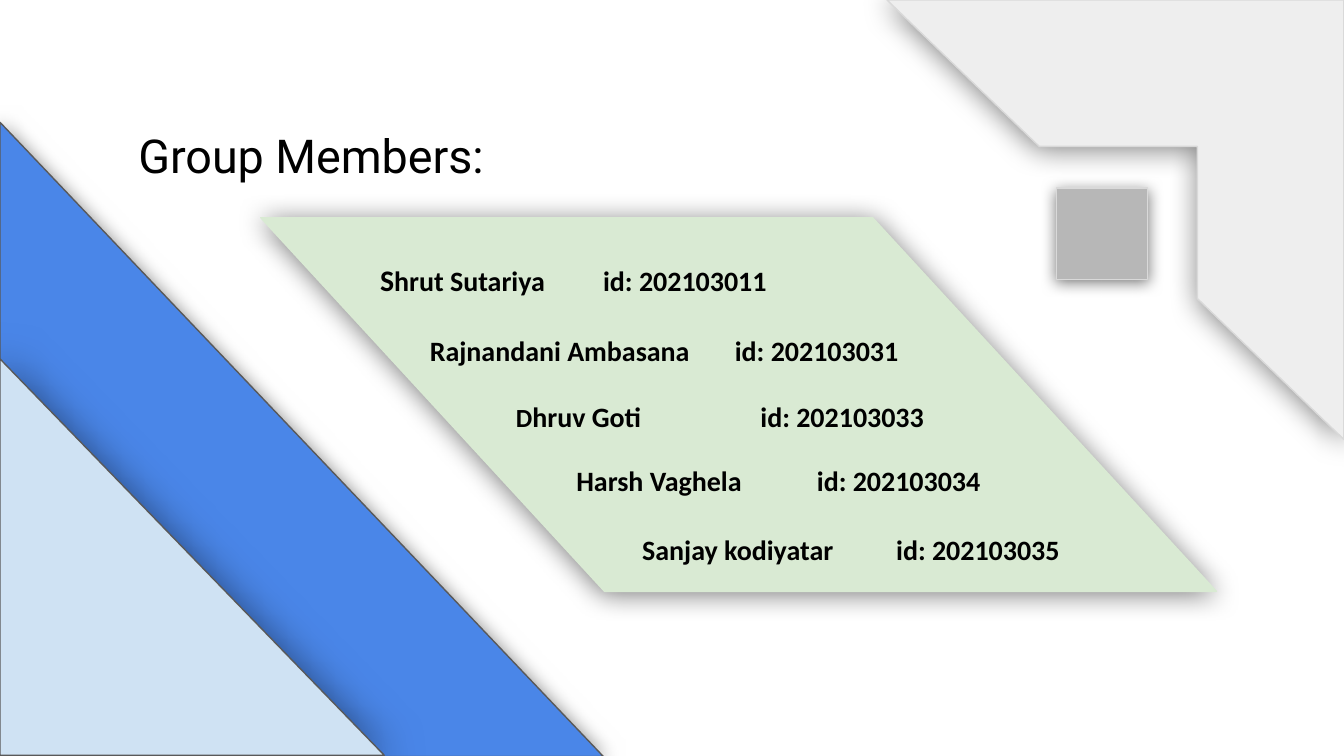
from lxml.etree import SubElement
from pptx import Presentation
from pptx.dml.color import RGBColor
from pptx.enum.shapes import MSO_SHAPE
from pptx.enum.text import MSO_ANCHOR, MSO_AUTO_SIZE, PP_ALIGN
from pptx.oxml.ns import qn
from pptx.util import Inches, Pt

THEME = {
    "blue": "4A86E8", "pale_blue": "CFE2F3", "green": "D9EAD3",
    "light_gray": "EEEEEE", "gray": "B7B7B7", "text": "000000",
    "dark_line": "595959", "light_line": "D9D9D9", "shadow": "000000",
    "title_font": "Roboto", "body_font": "Calibri",
    "title_size": 25, "body_size": 15,
}

SLIDE_WIDTH = Inches(10)
SLIDE_HEIGHT = SLIDE_WIDTH * 9 // 16

TITLE = "Group Members:"
TITLE_BOX = (0.93, 0.84, 6.43, 0.62)

MEMBER_FIELDS = ("name", "number", "left", "top", "tab", "initial_size")
MEMBERS = [
    ("Shrut Sutariya", "202103011", 2.73, 1.85, 1.66, 16),
    ("Rajnandani Ambasana", "202103031", 3.1, 2.38, 2.27, 15),
    ("Dhruv Goti", "202103033", 3.74, 2.87, 1.82, 14),
    ("Harsh Vaghela", "202103034", 4.19, 3.35, 1.79, 15),
    ("Sanjay kodiyatar", "202103035", 4.68, 3.86, 1.89, 15),
]
MEMBER_WIDTH, MEMBER_HEIGHT = 6.43, 0.45

DECORATIONS = [
    dict(kind=MSO_SHAPE.RIGHT_TRIANGLE, box=(0, 0.91, 4.49, 4.72),
         fill="blue", line="dark_line", blur=11.2),
    dict(kind=MSO_SHAPE.HALF_FRAME, box=(6.6, 0, 3.4, 3.27),
         fill="light_gray", line="light_line", blur=15.8,
         adjustments=(0.33333, 0.33333), flip=True),
    dict(kind=MSO_SHAPE.RIGHT_TRIANGLE, box=(0, 2.67, 2.86, 2.95),
         fill="pale_blue", line="dark_line", blur=23.6),
    dict(kind=MSO_SHAPE.RECTANGLE, box=(7.86, 1.4, 0.68, 0.68),
         fill="gray", line="light_line", blur=7.9),
    dict(kind=MSO_SHAPE.PARALLELOGRAM, box=(1.94, 1.62, 7.11, 2.78),
         fill="green", line="green", blur=14.6,
         adjustments=(0.92,), flip=True, rotation=180),
]


def color(name):
    return RGBColor.from_string(THEME[name])


def add_shadow(shape, blur):
    shape.shadow.inherit = False
    effects = shape._element.spPr.find(qn("a:effectLst"))
    shadow = SubElement(effects, qn("a:outerShdw"), blurRad=str(Pt(blur)),
                        dist=str(Pt(1.5)), dir="5400000", algn="bl",
                        rotWithShape="0")
    shade = SubElement(shadow, qn("a:srgbClr"), val=THEME["shadow"])
    SubElement(shade, qn("a:alpha"), val="50000")


def add_decoration(slide, kind, box, fill, line, blur,
                   adjustments=(), flip=False, rotation=0):
    shape = slide.shapes.add_shape(kind, *map(Inches, box))
    for index, value in enumerate(adjustments):
        shape.adjustments[index] = value
    shape.rotation = rotation
    if flip:
        shape._element.spPr.xfrm.set("flipH", "1")
    shape.fill.solid()
    shape.fill.fore_color.rgb = color(fill)
    shape.line.color.rgb = color(line)
    shape.line.width = Pt(0.75)
    add_shadow(shape, blur)


def format_frame(text_frame):
    text_frame.word_wrap = True
    text_frame.auto_size = MSO_AUTO_SIZE.SHAPE_TO_FIT_TEXT
    text_frame.vertical_anchor = MSO_ANCHOR.TOP
    for side in ("left", "top", "right", "bottom"):
        setattr(text_frame, f"margin_{side}", Inches(0.1))
    text_frame.paragraphs[0].alignment = PP_ALIGN.LEFT


def format_run(run, font_name, size, bold=False):
    run.font.name = THEME[font_name]
    run.font.size = Pt(size)
    run.font.bold = bold
    run.font.color.rgb = color("text")


def add_title(slide):
    title = slide.shapes.title
    title.left, title.top, title.width, title.height = map(Inches, TITLE_BOX)
    title.text_frame.text = TITLE
    format_frame(title.text_frame)
    format_run(title.text_frame.paragraphs[0].runs[0],
               "title_font", THEME["title_size"])


def add_member(slide, name, number, left, top, tab, initial_size):
    box = slide.shapes.add_textbox(
        *map(Inches, (left, top, MEMBER_WIDTH, MEMBER_HEIGHT)))
    format_frame(box.text_frame)
    paragraph = box.text_frame.paragraphs[0]
    tabs = SubElement(paragraph._p.get_or_add_pPr(), qn("a:tabLst"))
    SubElement(tabs, qn("a:tab"), pos=str(Inches(tab)), algn="l")
    line = f"{name}\tid: {number}"
    for text, size in ((line[0], initial_size), (line[1:], THEME["body_size"])):
        run = paragraph.add_run()
        run.text = text
        format_run(run, "body_font", size, bold=True)


def main():
    presentation = Presentation()
    presentation.slide_width = SLIDE_WIDTH
    presentation.slide_height = SLIDE_HEIGHT
    slide = presentation.slides.add_slide(presentation.slide_layouts[5])
    add_title(slide)
    for decoration in DECORATIONS:
        add_decoration(slide, **decoration)
    for member in MEMBERS:
        add_member(slide, **dict(zip(MEMBER_FIELDS, member)))
    presentation.save("out.pptx")


if __name__ == "__main__":
    main()
